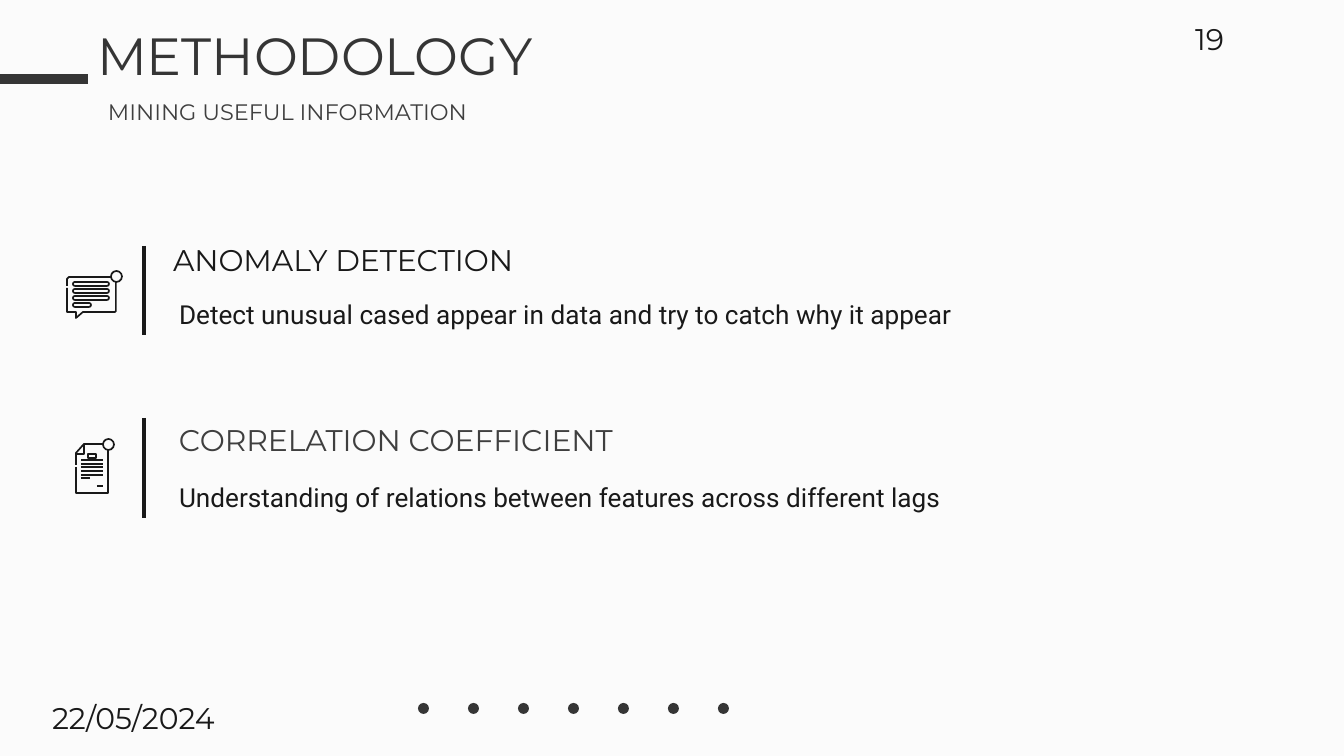
from dataclasses import dataclass

from lxml.etree import SubElement
from pptx import Presentation
from pptx.dml.color import RGBColor
from pptx.enum.shapes import MSO_CONNECTOR as CONN, MSO_SHAPE as SHAPE
from pptx.enum.text import MSO_ANCHOR as ANCHOR, MSO_AUTO_SIZE as AUTO, PP_ALIGN as ALIGN
from pptx.oxml.ns import qn
from pptx.util import Pt

SCALE = 9144000 / 1344  # EMU per px
COLORS = {"bg": "FBFBFB", "dark": "353535", "grey": "3F3F3F", "ink": "191919"}
HEAD, BODY = "Montserrat", "Roboto"

Box = tuple[int, int, int, int]
Points = list[tuple[int, int]]


@dataclass
class Method:
    heading: str
    heading_box: Box
    heading_color: str
    detail: str
    detail_box: Box
    rule: tuple[int, int]  # top and bottom


@dataclass
class Icon:
    dot: Box
    frames: list[Box]
    frame_kind: SHAPE
    strokes: list[Points]


def px(n: int) -> int:
    return round(n * SCALE)


def rgb(name: str) -> RGBColor:
    return RGBColor.from_string(COLORS[name])


def write(sp, text: str, *, size: int, font: str = HEAD, color: str = "ink",
          anchor=ANCHOR.MIDDLE, align=ALIGN.LEFT, inset: int = 13) -> None:
    tf = sp.text_frame
    tf.word_wrap, tf.auto_size, tf.vertical_anchor = True, AUTO.NONE, anchor
    tf.margin_left = tf.margin_right = px(13)
    tf.margin_top = tf.margin_bottom = px(inset)
    p = tf.paragraphs[0]
    p.alignment = align
    r = p.add_run()
    r.text = text
    r.font.size, r.font.name, r.font.color.rgb = Pt(size), font, rgb(color)


def add_text(box: Box, text: str, **fmt) -> None:
    write(slide.shapes.add_textbox(*map(px, box)), text, **fmt)


def add_solid(kind: SHAPE, box: Box) -> None:
    sp = slide.shapes.add_shape(kind, *map(px, box))
    sp.shadow.inherit = False
    sp.fill.solid()
    sp.fill.fore_color.rgb = rgb("dark")
    sp.line.fill.background()


def outline(sp) -> None:
    sp.shadow.inherit = False
    sp.fill.background()
    sp.line.color.rgb = rgb("ink")
    sp.line.width = Pt(0.9)


def add_frame(kind: SHAPE, box: Box) -> None:
    sp = slide.shapes.add_shape(kind, *map(px, box))
    if kind == SHAPE.ROUNDED_RECTANGLE:
        sp.adjustments[0] = 0.5
    outline(sp)


def add_icon(icon: Icon) -> None:
    fb = slide.shapes.build_freeform(*icon.strokes[0][0], scale=SCALE)
    for i, stroke in enumerate(icon.strokes):
        if i:
            fb.move_to(*stroke[0])
        fb.add_line_segments(stroke[1:], close=False)
    outline(fb.convert_to_shape())
    for box in icon.frames:
        add_frame(icon.frame_kind, box)
    add_frame(SHAPE.OVAL, icon.dot)


def add_rule(x: int, top: int, bottom: int) -> None:
    ln = slide.shapes.add_connector(CONN.STRAIGHT, px(x), px(top), px(x), px(bottom))
    ln.line.color.rgb = rgb("ink")
    ln.line.width = Pt(2.25)
    SubElement(ln._element.spPr, qn("a:effectLst"))


prs = Presentation()
prs.slide_width, prs.slide_height = px(1344), px(756)
slide = prs.slides.add_slide(prs.slide_layouts[5])
slide.background.fill.solid()
slide.background.fill.fore_color.rgb = rgb("bg")

# Accent bar and row of dots
add_solid(SHAPE.RECTANGLE, (0, 74, 88, 10))
for i in range(7):
    add_solid(SHAPE.OVAL, (418 + 50 * i, 703, 11, 11))

# Title and subtitle
title = slide.shapes.title
title.left, title.top, title.width, title.height = map(px, (84, 0, 566, 110))
write(title, "METHODOLOGY", size=28, color="dark")
add_text((95, 85, 810, 53), "MINING USEFUL INFORMATION", size=12, color="grey",
         anchor=ANCHOR.BOTTOM)

# Methods
METHODS = [
    Method("ANOMALY DETECTION", (160, 238, 440, 53), "ink",
           "Detect unusual cased appear in data and try to catch why it appear",
           (166, 285, 1058, 67), (246, 335)),
    Method("CORRELATION COEFFICIENT", (166, 418, 703, 53), "grey",
           "Understanding of relations between features across different lags",
           (166, 468, 1058, 53), (418, 518)),
]
for m in METHODS:
    add_text(m.heading_box, m.heading, size=16, color=m.heading_color, anchor=ANCHOR.BOTTOM)
    add_rule(144, *m.rule)
    add_text(m.detail_box, m.detail, size=14, font=BODY, anchor=ANCHOR.TOP)

# Icons: speech bubble and document
bubble = Icon(
    dot=(111, 271, 11, 11),
    frames=[(73, 282 + 7 * i, 18 if i == 3 else 36, 4) for i in range(4)],
    frame_kind=SHAPE.ROUNDED_RECTANGLE,
    strokes=[[(111, 277), (69, 277), (67, 279), (67, 286)],
             [(67, 288), (67, 312), (76, 312), (76, 318), (83, 312),
              (115, 312), (116, 311), (116, 282)]],
)
text_lines = [[(81, y), (90 if i == 5 else 103, y)]
              for i, y in enumerate(round(460 + 3.67 * i) for i in range(6))]
document = Icon(
    dot=(103, 439, 11, 11),
    frames=[(88, 454, 8, 4)],
    frame_kind=SHAPE.RECTANGLE,
    strokes=[[(103, 444), (84, 444), (76, 453), (76, 465)],
             [(84, 444), (84, 454), (76, 454)],
             [(76, 467), (76, 493), (108, 493), (108, 450)],
             *text_lines,
             [(97, 486), (103, 486)]],
)
for icon in (bubble, document):
    add_icon(icon)

# Date and page number
add_text((39, 698, 302, 40), "22/05/2024", size=16, inset=7)
add_text((935, 19, 302, 40), "19", size=16, inset=7, align=ALIGN.RIGHT)

prs.save("out.pptx")
